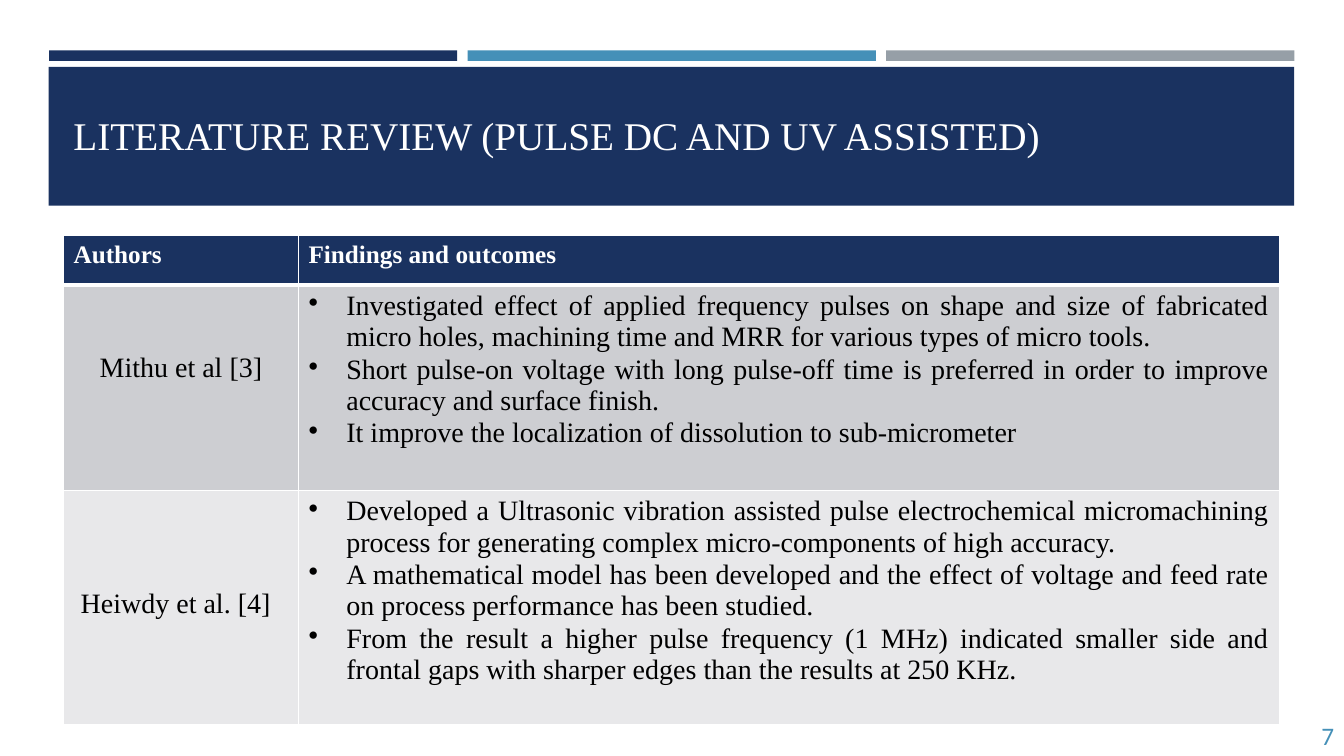
from lxml.etree import SubElement
from pptx import Presentation
from pptx.dml.color import RGBColor
from pptx.enum.shapes import MSO_SHAPE
from pptx.enum.text import MSO_ANCHOR, PP_ALIGN
from pptx.oxml.ns import qn
from pptx.util import Pt

COLORS = {"navy": "1A3260", "blue": "4590B8", "gray": "969FA7", "white": "FFFFFF",
          "black": "000000", "dark_band": "CDCED2", "light_band": "E8E8EA"}
SERIF = "Times New Roman"
STUDIES = [
    ("Mithu et al [3]", PP_ALIGN.CENTER, 7.2, 47.9, "dark_band", [
        "Investigated effect of applied frequency pulses on shape and size of fabricated "
        "micro holes, machining time and MRR for various types of micro tools.",
        "Short pulse-on voltage with long pulse-off time is preferred in order to improve "
        "accuracy and surface finish.",
        "It improve the localization of dissolution to sub-micrometer"]),
    ("Heiwdy et al. [4]", PP_ALIGN.LEFT, 12.2, 70, "light_band", [
        "Developed a Ultrasonic vibration assisted pulse electrochemical micromachining "
        "process for generating complex micro-components of high accuracy.",
        "A mathematical model has been developed and the effect of voltage and feed rate "
        "on process performance has been studied.",
        "From the result a higher pulse frequency (1 MHz) indicated smaller side and "
        "frontal gaps with sharper edges than the results at 250 KHz."]),
]


class SlideBuilder:
    """Draws styled elements on one slide, with lengths in points."""

    def __init__(self, presentation):
        self.slide = presentation.slides.add_slide(presentation.slide_layouts[6])

    def color(self, name):
        return RGBColor.from_string(COLORS[name])

    def apply_values(self, target, values):
        for name, value in values.items():
            setattr(target, name, value)

    def bar(self, left, top, width, height, fill):
        shape = self.slide.shapes.add_shape(
            MSO_SHAPE.RECTANGLE, Pt(left), Pt(top), Pt(width), Pt(height))
        shape.shadow.inherit = False
        shape.fill.solid()
        shape.fill.fore_color.rgb = self.color(fill)
        shape.line.fill.background()

    def fill_paragraph(self, paragraph, text, size, color, font=SERIF, bold=False,
                       align=PP_ALIGN.LEFT):
        paragraph.text = text
        paragraph.alignment = align
        self.apply_values(paragraph.font, {"name": font, "size": Pt(size), "bold": bold})
        paragraph.font.color.rgb = self.color(color)

    def text(self, left, top, width, height, anchor, text, size, color, **style):
        shape = self.slide.shapes.add_textbox(Pt(left), Pt(top), Pt(width), Pt(height))
        self.apply_values(shape.text_frame, {"word_wrap": True, "vertical_anchor": anchor})
        self.fill_paragraph(shape.text_frame.paragraphs[0], text, size, color, **style)

    def table(self, left, top, columns, rows):
        shape = self.slide.shapes.add_table(len(rows), len(columns), Pt(left), Pt(top),
                                            Pt(sum(columns)), Pt(sum(rows)))
        table = shape.table
        for column, width in zip(table.columns, columns):
            column.width = Pt(width)
        for row, height in zip(table.rows, rows):
            row.height = Pt(height)
        return table

    def cell(self, cell, fill, top_border=1, bottom_border=1, **margins):
        self.apply_values(cell, {name: Pt(value) for name, value in margins.items()})
        properties = cell._tc.get_or_add_tcPr()
        for side, width in zip("LRTB", (1, 1, top_border, bottom_border)):
            line = SubElement(properties, qn(f"a:ln{side}"), w=str(Pt(width)))
            color = SubElement(SubElement(line, qn("a:solidFill")), qn("a:srgbClr"))
            color.set("val", COLORS["white"])
        cell.fill.solid()
        cell.fill.fore_color.rgb = self.color(fill)

    def bullets(self, text_frame, items):
        for index, item in enumerate(items):
            paragraph = text_frame.add_paragraph() if index else text_frame.paragraphs[0]
            properties = paragraph._p.get_or_add_pPr()
            properties.set("marL", str(Pt(27)))
            properties.set("indent", str(-Pt(27)))
            SubElement(properties, qn("a:buChar"), char="•")
            self.apply_values(paragraph, {"space_before": Pt(0.6 if index else 0),
                                          "space_after": Pt(0.6)})
            self.fill_paragraph(paragraph, item, 20, "black", align=PP_ALIGN.JUSTIFY)


def main():
    presentation = Presentation()
    presentation.slide_width, presentation.slide_height = Pt(960), Pt(540)
    builder = SlideBuilder(presentation)

    for index, fill in enumerate(("navy", "blue", "gray")):
        builder.bar(35 + index * 299, 36, 291.6, 7.5, fill)
    builder.bar(34.8, 47.8, 889.6, 99.2, "navy")
    builder.text(45.4, 38.9, 868.3, 77.8, MSO_ANCHOR.BOTTOM,
                 "LITERATURE REVIEW (PULSE DC AND UV ASSISTED)", 28, "white")
    builder.text(877, 511.2, 83, 28.8, MSO_ANCHOR.MIDDLE, "7", 18, "blue",
                 font="Calibri", align=PP_ALIGN.RIGHT)

    table = builder.table(45.4, 168.5, [167.8, 700.5], [35.2, 147, 167])
    for column, heading in enumerate(("Authors", "Findings and outcomes")):
        cell = table.cell(0, column)
        builder.cell(cell, "navy", bottom_border=3)
        builder.fill_paragraph(cell.text_frame.paragraphs[0], heading, 18, "white", bold=True)
    for row, (author, align, left, top, fill, findings) in enumerate(STUDIES, 1):
        border = 3 if row == 1 else 1
        author_cell, findings_cell = table.cell(row, 0), table.cell(row, 1)
        builder.cell(author_cell, fill, border, margin_left=left, margin_top=top)
        builder.fill_paragraph(author_cell.text_frame.paragraphs[0], author, 20, "black",
                               align=align)
        builder.cell(findings_cell, fill, border)
        builder.bullets(findings_cell.text_frame, findings)

    presentation.save("out.pptx")


if __name__ == "__main__":
    main()
